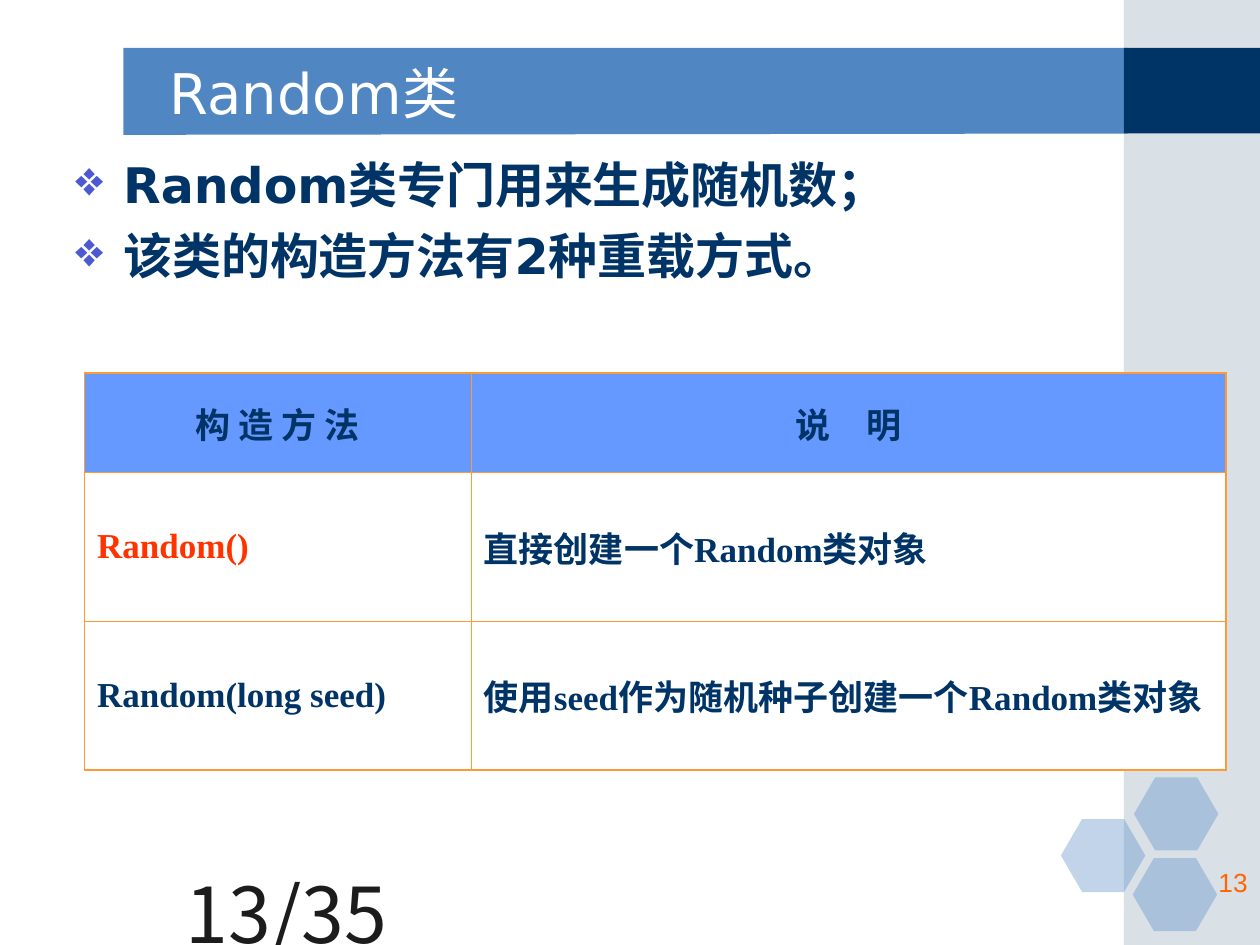
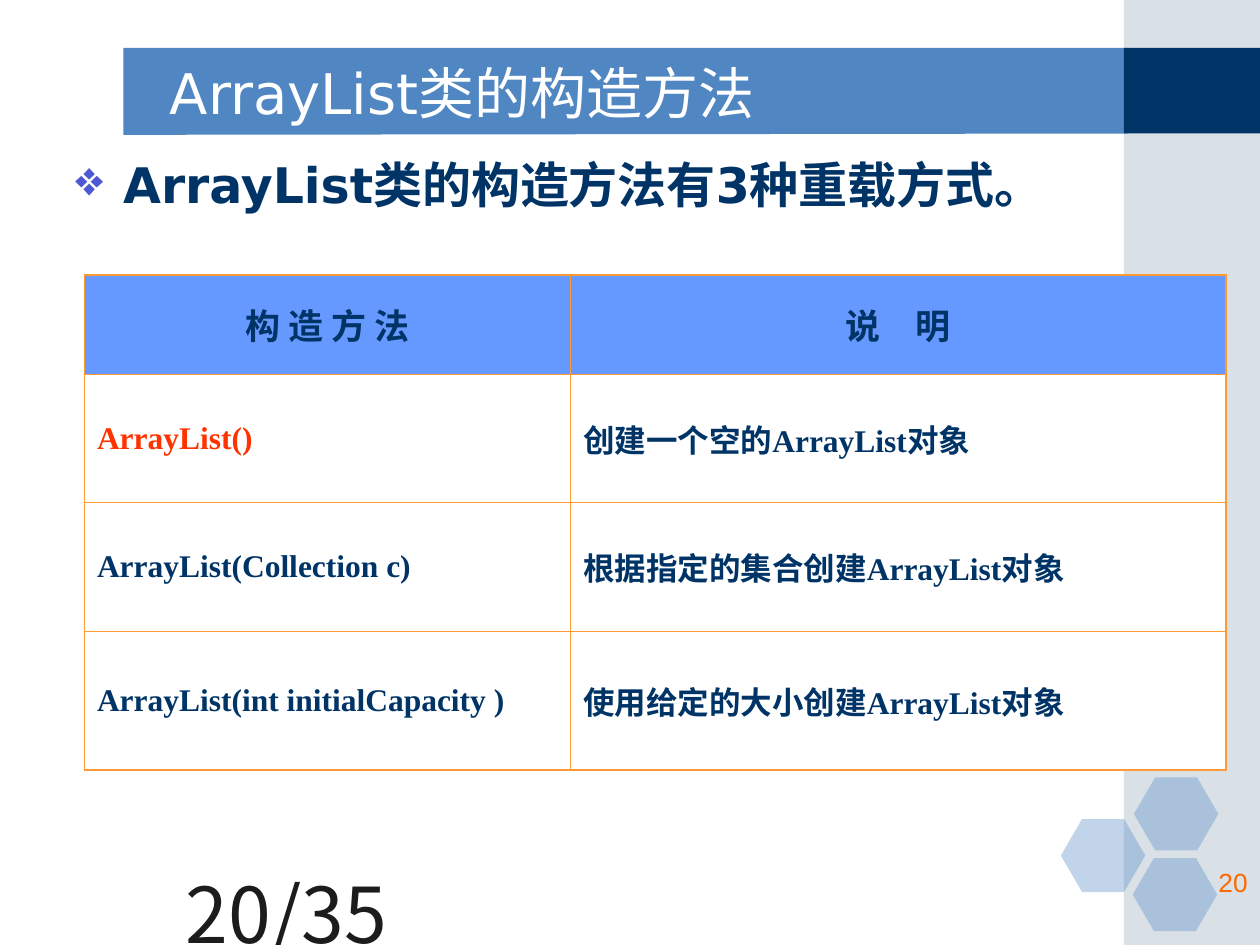
from lxml import etree
from pptx import Presentation
from pptx.dml.color import RGBColor
from pptx.enum import shapes, text
from pptx.oxml.ns import qn
from pptx.util import Inches, Pt

TOTAL = 35
HEADERS = ("构 造 方 法", "说　明")
SLIDES = [
    dict(
        page=13,
        title="Random类",
        bullets=["Random类专门用来生成随机数；", "该类的构造方法有2种重载方式。"],
        table_top=2.96, cols=(3.07, 5.99), heights=(0.79, 1.18, 1.18), size=20,
        rows=[
            ("Random()", "直接创建一个Random类对象"),
            ("Random(long seed)", "使用seed作为随机种子创建一个Random类对象"),
        ],
    ),
    dict(
        page=20,
        title="ArrayList类的构造方法",
        bullets=["ArrayList类的构造方法有3种重载方式。"],
        table_top=2.18, cols=(3.86, 5.2), heights=(0.79, 1.02, 1.02, 1.1), size=18,
        rows=[
            ("ArrayList()", "创建一个空的ArrayList对象"),
            ("ArrayList(Collection c)", "根据指定的集合创建ArrayList对象"),
            ("ArrayList(int initialCapacity )", "使用给定的大小创建ArrayList对象"),
        ],
    ),
]

WHITE = RGBColor(0xFF, 0xFF, 0xFF)
BLUE = RGBColor(0x50, 0x86, 0xC2)
NAVY = RGBColor(0x00, 0x33, 0x66)
SIDE = RGBColor(0xA0, 0xB5, 0xC4)
HEAD = RGBColor(0x66, 0x99, 0xFF)
RED = RGBColor(0xFF, 0x33, 0x00)
ORANGE = RGBColor(0xFF, 0x66, 0x00)
BORDER = RGBColor(0xFF, 0x99, 0x33)
INK = RGBColor(0x1C, 0x1C, 0x1C)
BULLET = RGBColor(0x4C, 0x59, 0xD2)
SANS, CJK = "DejaVu Sans", "Noto Sans CJK SC"
MONO, SERIF = "Courier New", "Times New Roman"
LEFT, CENTER, RIGHT = text.PP_ALIGN.LEFT, text.PP_ALIGN.CENTER, text.PP_ALIGN.RIGHT
MIDDLE, TOP = text.MSO_ANCHOR.MIDDLE, text.MSO_ANCHOR.TOP
HEXAGONS = [(8.42, 6.5), (9, 6.17), (8.99, 6.81)]
TABLE_LEFT = 0.67
THICK, THIN = 1.08, 0.45


def add_color(parent, color):
    fill = etree.SubElement(parent, qn("a:solidFill"))
    return etree.SubElement(fill, qn("a:srgbClr"), val=str(color))


def write(p, content, size=20, font=SANS, east=CJK, color=NAVY, bold=False, align=LEFT):
    p.alignment = align
    r = p.add_run()
    r.text = content
    r.font.size, r.font.name, r.font.bold = Pt(size), font, bold
    r.font.color.rgb = color
    latin = r.font._element.find(qn("a:latin"))
    latin.addnext(latin.makeelement(qn("a:ea"), {"typeface": east}))


def add_text(s, box, lines, anchor=TOP, bullet=False, **style):
    tf = s.shapes.add_textbox(*map(Inches, box)).text_frame
    tf.word_wrap = True
    tf.vertical_anchor = anchor
    for i, line in enumerate(lines):
        p = tf.paragraphs[0] if i == 0 else tf.add_paragraph()
        if bullet:
            pPr = p._p.get_or_add_pPr()
            pPr.set("marL", str(Inches(0.38)))
            pPr.set("indent", str(-Inches(0.38)))
            mark = etree.SubElement(pPr, qn("a:buClr"))
            etree.SubElement(mark, qn("a:srgbClr"), val=str(BULLET))
            etree.SubElement(pPr, qn("a:buChar"), char="❖")
        if i:
            p.space_before = Pt(7)
        write(p, line, **style)


def paint(sp, color, opacity=100):
    sp.shadow.inherit = False
    sp.fill.solid()
    sp.fill.fore_color.rgb = color
    sp.line.fill.background()
    if opacity < 100:
        clr = sp._element.spPr.find(qn("a:solidFill"))[0]
        etree.SubElement(clr, qn("a:alpha"), val=str(opacity * 1000))


def add_backdrop(s):
    fb = s.shapes.build_freeform(Inches(0.98), Inches(0.38))
    fb.add_line_segments([(Inches(x), Inches(y)) for x, y in
                          ((8.95, 0.38), (8.95, 1.06), (0.98, 1.07))])
    paint(fb.convert_to_shape(), BLUE)
    kind = shapes.MSO_SHAPE
    for top, height, color, opacity in ((0, 7.5, SIDE, 40), (0.38, 0.68, NAVY, 100)):
        sp = s.shapes.add_shape(kind.RECTANGLE, *map(Inches, (8.92, top, 1.08, height)))
        paint(sp, color, opacity)
    for x, y in HEXAGONS:
        sp = s.shapes.add_shape(kind.HEXAGON, *map(Inches, (x, y, 0.67, 0.58)))
        sp.adjustments[0] = 0.29
        paint(sp, BLUE, 35)


def add_borders(cell, outer):
    tcPr = cell._tc.get_or_add_tcPr()
    for i, side in enumerate("LRTB"):
        width = THICK if side in outer else THIN
        ln = tcPr.makeelement(qn(f"a:ln{side}"), {"w": str(Pt(width))})
        add_color(ln, BORDER)
        tcPr.insert(i, ln)


def add_methods(s, spec_rows, top, cols, heights, size):
    rows = [HEADERS] + spec_rows
    box = (TABLE_LEFT, top, sum(cols), sum(heights))
    tbl = s.shapes.add_table(len(rows), len(cols), *map(Inches, box)).table
    tbl.first_row = tbl.horz_banding = False
    for c, width in enumerate(cols):
        tbl.columns[c].width = Inches(width)
    for r, (row, height) in enumerate(zip(rows, heights)):
        tbl.rows[r].height = Inches(height)
        for c, content in enumerate(row):
            cell = tbl.cell(r, c)
            cell.vertical_anchor = MIDDLE
            cell.fill.solid()
            cell.fill.fore_color.rgb = WHITE if r else HEAD
            p = cell.text_frame.paragraphs[0]
            if r:
                color = RED if (r, c) == (1, 0) else NAVY
                write(p, content, size=size, font=SERIF, color=color, bold=True)
            else:
                write(p, content, font=MONO, bold=True, align=CENTER)
            outer = "LR"[c] + ("T" if r == 0 else "B" if r == len(rows) - 1 else "")
            add_borders(cell, outer)


def add_slide(prs, d):
    s = prs.slides.add_slide(prs.slide_layouts[6])
    add_backdrop(s)
    add_text(s, (1.25, 0.42, 7.33, 0.62), [d["title"]], anchor=MIDDLE,
             size=32, east=SANS, color=WHITE)
    add_text(s, (0.5, 1.18, 9, 5.74), d["bullets"], bullet=True,
             size=28, east=SANS, bold=True)
    add_text(s, (0, 6.83, 3.17, 0.5), [f"{d['page']}/{TOTAL}"],
             size=44, font=CJK, color=INK, align=RIGHT)
    add_text(s, (7.92, 6.83, 2.08, 0.5), [str(d["page"])],
             size=15, font="Arial", color=ORANGE, align=RIGHT)
    add_methods(s, d["rows"], d["table_top"], d["cols"], d["heights"], d["size"])


def main():
    prs = Presentation()
    prs.slide_width, prs.slide_height = Inches(10), Inches(7.5)
    for d in SLIDES:
        add_slide(prs, d)
    prs.save("out.pptx")


if __name__ == "__main__":
    main()
